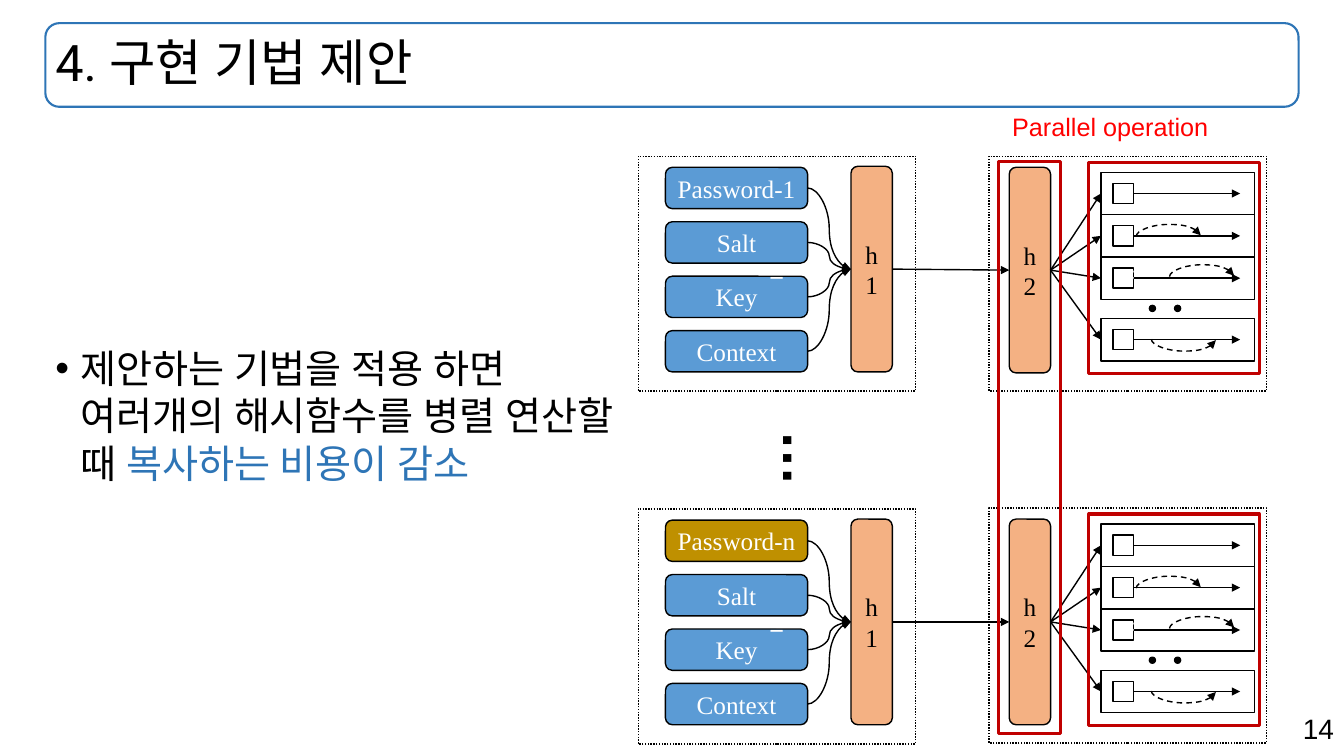
from dataclasses import dataclass

from lxml import etree
from pptx import Presentation
from pptx.dml.color import RGBColor
from pptx.enum.dml import MSO_LINE
from pptx.enum.shapes import MSO_CONNECTOR, MSO_SHAPE
from pptx.enum.text import MSO_ANCHOR, MSO_AUTO_SIZE, PP_ALIGN
from pptx.oxml.ns import qn
from pptx.shapes.autoshape import Shape
from pptx.shapes.connector import Connector
from pptx.slide import Slide
from pptx.text.text import _Paragraph
from pptx.util import Inches, Pt

RECT, ROUNDED, OVAL = MSO_SHAPE.RECTANGLE, MSO_SHAPE.ROUNDED_RECTANGLE, MSO_SHAPE.OVAL
STRAIGHT, CURVE = MSO_CONNECTOR.STRAIGHT, MSO_CONNECTOR.CURVE
DOTTED, DASHED = MSO_LINE.ROUND_DOT, MSO_LINE.DASH
TOP, MIDDLE = MSO_ANCHOR.TOP, MSO_ANCHOR.MIDDLE
LEFT, CENTER, RIGHT = PP_ALIGN.LEFT, PP_ALIGN.CENTER, PP_ALIGN.RIGHT
GROW = MSO_AUTO_SIZE.SHAPE_TO_FIT_TEXT
LEFT_SITE, RIGHT_SITE = 1, 3

COLORS = {
    "black": "000000", "white": "FFFFFF", "title_frame": "2E75B6",
    "input": "5B9BD5", "changed_input": "BF9000", "hash": "F4B183",
    "parallel_frame": "C00000", "parallel_label": "FF0000",
}

INPUT_PITCH = 0.54
ROW_OFFSETS = (0.16, 0.58, 1.0, 1.61)
ROW_HEIGHT = 0.42
ARC_SPAN, ARC_DEPTH, ARC_RISE = 0.64, 0.12, 0.01


@dataclass(frozen=True)
class Box:
    left: float
    top: float
    width: float
    height: float


@dataclass(frozen=True)
class Pipeline:
    """One password's chain: inputs, h1, h2 and the hash rows."""
    password: str
    password_color: str
    input_top: float
    hash_top: float


@dataclass(frozen=True)
class Arc:
    left: float
    offset: float
    upward: bool


PIPELINES = (
    Pipeline("Password-1", "input", 1.55, 1.55),
    Pipeline("Password-n", "changed_input", 5.05, 5.04),
)
ARCS = (Arc(11.27, 0.79, True), Arc(11.6, 1.19, True), Arc(11.42, 1.82, False))


def rgb(color: str) -> RGBColor:
    return RGBColor.from_string(COLORS[color])


def add_run(paragraph: _Paragraph, text: str, size: float, font: str,
            color: str, bold: bool = False) -> None:
    run = paragraph.add_run()
    run.text = text
    run.font.size = Pt(size)
    run.font.name = font
    run.font.bold = bold
    run.font.color.rgb = rgb(color)
    etree.SubElement(run.font._element, qn("a:ea"), typeface=font)


def add_box(slide: Slide, kind: int, box: Box, fill: str = "", line: str = "black",
            weight: float = 1, dash: int | None = None) -> Shape:
    shape = slide.shapes.add_shape(kind, Inches(box.left), Inches(box.top),
                                   Inches(box.width), Inches(box.height))
    shape.shadow.inherit = False
    if fill:
        shape.fill.solid()
        shape.fill.fore_color.rgb = rgb(fill)
    else:
        shape.fill.background()
    shape.line.color.rgb = rgb(line)
    shape.line.width = Pt(weight)
    if dash is not None:
        shape.line.dash_style = dash
    return shape


def label(shape: Shape, text: str, color: str, font: str = "Times New Roman") -> None:
    shape.text_frame.vertical_anchor = MIDDLE
    paragraph = shape.text_frame.paragraphs[0]
    paragraph.alignment = CENTER
    add_run(paragraph, text, 18, font, color)


def add_text(slide: Slide, box: Box, wrap: bool = True, anchor: int = TOP,
             align: int = LEFT) -> Shape:
    """Add an empty text box whose first paragraph is ready for runs."""
    shape = slide.shapes.add_textbox(Inches(box.left), Inches(box.top),
                                     Inches(box.width), Inches(box.height))
    shape.text_frame.word_wrap = wrap
    shape.text_frame.vertical_anchor = anchor
    shape.text_frame.paragraphs[0].alignment = align
    return shape


def add_arrow(slide: Slide, kind: int, x1: float, y1: float, x2: float, y2: float,
              dash: int | None = None) -> Connector:
    arrow = slide.shapes.add_connector(kind, Inches(x1), Inches(y1), Inches(x2), Inches(y2))
    arrow.line.color.rgb = rgb("black")
    arrow.line.width = Pt(1)
    if dash is not None:
        arrow.line.dash_style = dash
    properties = arrow._element.spPr
    etree.SubElement(properties.find(qn("a:ln")), qn("a:tailEnd"), type="triangle")
    etree.SubElement(properties, qn("a:effectLst"))
    return arrow


def link(slide: Slide, source: Shape, target: Shape, kind: int = STRAIGHT) -> None:
    arrow = add_arrow(slide, kind, 0, 0, 1, 1)
    arrow.begin_connect(source, RIGHT_SITE)
    arrow.end_connect(target, LEFT_SITE)


def add_arc(slide: Slide, arc: Arc, top: float) -> None:
    """Draw a dashed bow as a thin curved connector turned on its side."""
    x, y = arc.left + ARC_SPAN / 2, top + arc.offset
    reach = ARC_SPAN / 2 * (1 if arc.upward else -1)
    bow = add_arrow(slide, CURVE, x + ARC_RISE / 2, y + reach,
                    x - ARC_RISE / 2, y - reach, DASHED)
    properties = bow._element.spPr
    properties.find(qn("a:xfrm")).set("rot", str((90 if arc.upward else 270) * 60000))
    etree.SubElement(properties.find(qn("a:prstGeom")).find(qn("a:avLst")), qn("a:gd"),
                     name="adj1", fmla=f"val {round(ARC_DEPTH / ARC_RISE * 100000)}")


def add_hash(slide: Slide, name: str, left: float, top: float) -> Shape:
    block = add_box(slide, ROUNDED, Box(left, top, 0.41, 2.04), "hash")
    label(block, name, "black")
    return block


def add_stage_frame(slide: Slide, left: float, top: float) -> None:
    frame = add_box(slide, RECT, Box(left, top, 2.75, 2.33), dash=DOTTED)
    label(frame, "=", "white", "Arial")


def add_pipeline(slide: Slide, pipeline: Pipeline) -> None:
    h1 = add_hash(slide, "h1", 8.44, pipeline.input_top + 0.1)
    for i, name in enumerate((pipeline.password, "Salt", "Key", "Context")):
        box = Box(6.6, pipeline.input_top + 0.11 + i * INPUT_PITCH, 1.41, 0.41)
        block = add_box(slide, ROUNDED, box, "input" if i else pipeline.password_color)
        label(block, name, "white")
        link(slide, block, h1, CURVE)
    add_stage_frame(slide, 6.33, pipeline.input_top)

    top = pipeline.hash_top
    h2 = add_hash(slide, "h2", 10.01, top + 0.11)
    link(slide, h1, h2)
    for offset in ROW_OFFSETS:
        row = add_box(slide, RECT, Box(10.92, top + offset, 1.52, ROW_HEIGHT))
        add_box(slide, RECT, Box(11.04, top + offset + 0.11, 0.2, 0.2))
        middle = top + offset + ROW_HEIGHT / 2
        add_arrow(slide, STRAIGHT, 11.24, middle, 12.3, middle)
        link(slide, h2, row)
    for left in (11.4, 11.65):
        add_box(slide, OVAL, Box(left, top + 1.48, 0.06, 0.06), "black")
    for arc in ARCS:
        add_arc(slide, arc, top)
    add_stage_frame(slide, 9.81, top)
    add_box(slide, RECT, Box(10.8, top + 0.06, 1.69, 2.1), line="parallel_frame", weight=2.25)


def add_texts(slide: Slide) -> None:
    heading = Box(0.45, 0.23, 12.43, 0.83)
    add_box(slide, ROUNDED, heading, line="title_frame", weight=1.5)
    title = add_text(slide, heading, anchor=MIDDLE).text_frame.paragraphs[0]
    title.line_spacing = 0.9
    add_run(title, "4. 구현 기법 제안", 36, "Roboto", "black")

    claim = add_text(slide, Box(0.45, 3.37, 5.79, 3.82)).text_frame.paragraphs[0]
    bullet = claim._p.get_or_add_pPr()
    bullet.set("marL", str(Inches(0.25)))
    bullet.set("indent", str(Inches(-0.25)))
    etree.SubElement(bullet, qn("a:buFont"), typeface="Arial")
    etree.SubElement(bullet, qn("a:buChar"), char="•")
    add_run(claim, "제안하는 기법을 적용 하면 여러개의 해시함수를 병렬 연산할 때 ", 28, "Roboto", "black")
    add_run(claim, "복사하는 비용이 감소", 28, "Roboto", "title_frame")

    number = add_text(slide, Box(9.43, 7.01, 3.9, 0.44), align=RIGHT)
    add_run(number.text_frame.paragraphs[0], "14", 20, "Arial", "black")
    parallel = add_text(slide, Box(9.94, 1.06, 2.2, 0.4), wrap=False)
    add_run(parallel.text_frame.paragraphs[0], "Parallel operation", 18, "Arial", "parallel_label")
    more = add_text(slide, Box(7.5, 4.17, 0.88, 0.6), wrap=False)
    more.text_frame.auto_size = GROW
    more.text_frame._txBody.bodyPr.set("vert", "eaVert")
    add_run(more.text_frame.paragraphs[0], "…", 40, "Arial", "black", bold=True)


def main() -> None:
    deck = Presentation()
    deck.slide_width, deck.slide_height = Inches(13.33), Inches(7.5)
    slide = deck.slides.add_slide(deck.slide_layouts[6])
    add_texts(slide)
    for pipeline in PIPELINES:
        add_pipeline(slide, pipeline)
    add_box(slide, RECT, Box(9.9, 1.6, 0.62, 5.68), line="parallel_frame", weight=2.25)
    deck.save("out.pptx")


if __name__ == "__main__":
    main()
